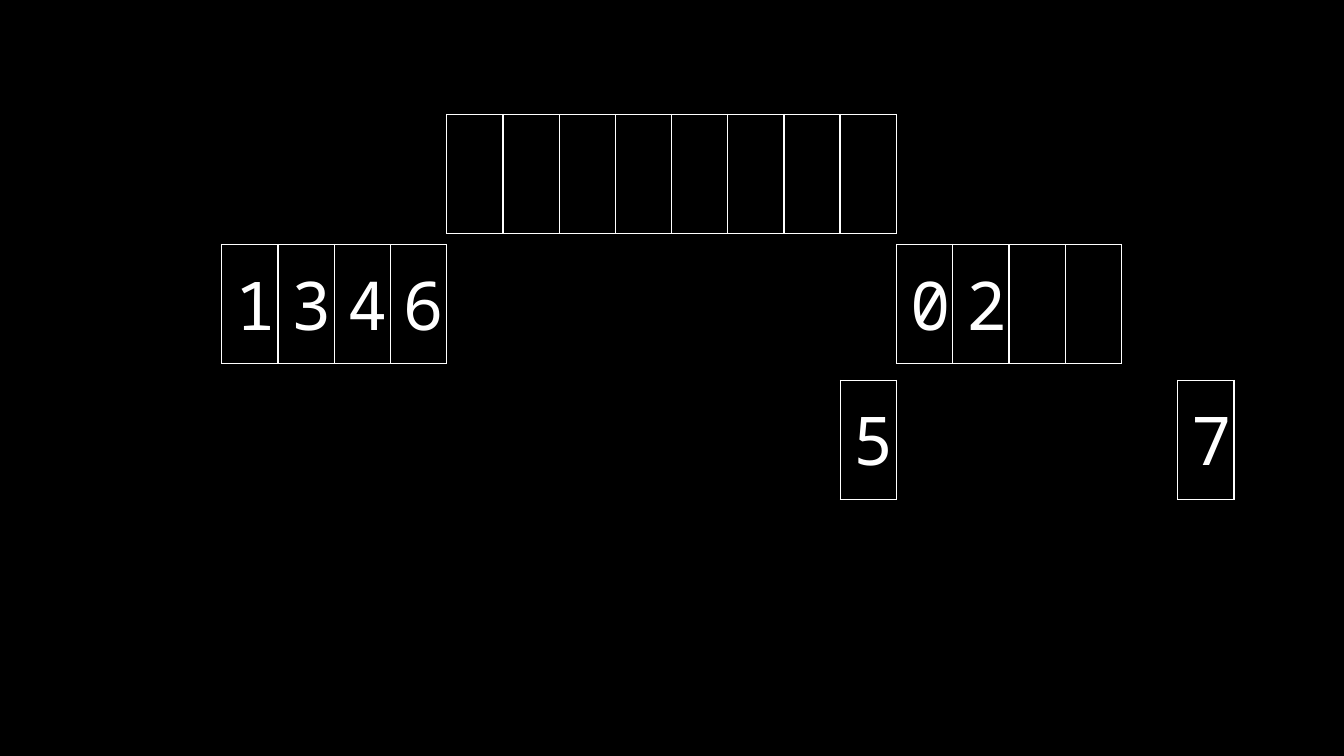
from lxml import etree
from pptx import Presentation
from pptx.dml.color import RGBColor
from pptx.enum.text import MSO_ANCHOR, PP_ALIGN
from pptx.oxml.ns import qn
from pptx.util import Pt

MIDDLE = MSO_ANCHOR.MIDDLE
CENTER = PP_ALIGN.CENTER

CELL_WIDTH = 30.13
CELL_HEIGHT = 63.75
GRID_LEFT = 118.8
HIDDEN = None

# Grid column of the first cell, top, cell contents
ARRAYS = [
    (4, 61.3, [""] * 8),
    (0, 131, ["1", "3", "4", "6"]),
    (12, 131, ["0", "2", "", ""]),
    (10, 203.8, [HIDDEN, "5"]),
    (16, 203.8, [HIDDEN, "7"]),
]


def color(hex_code):
    return RGBColor.from_string(hex_code)


class ArrayArtist:
    font = "Noto Sans Mono"
    size = 36
    ink = "FFFFFF"
    paper = "000000"
    line_width = 0.75
    inset = 7.2

    def __init__(self, slide):
        self.slide = slide
        background = slide.background.fill
        background.solid()
        background.fore_color.rgb = color(self.paper)

    def border(self, cell, sides):
        """Draw the given sides (from "LRTB") and clear the others."""
        properties = cell._tc.get_or_add_tcPr()
        for side in "LRTB":
            line = etree.SubElement(properties, qn(f"a:ln{side}"), w=str(Pt(self.line_width)))
            if side in sides:
                fill = etree.SubElement(line, qn("a:solidFill"))
                etree.SubElement(fill, qn("a:srgbClr"), val=self.ink)
            else:
                etree.SubElement(line, qn("a:noFill"))

    def cell(self, cell, value):
        self.border(cell, "R" if value is HIDDEN else "LRTB")
        cell.fill.background()
        cell.vertical_anchor = MIDDLE
        cell.margin_left = cell.margin_right = Pt(self.inset)
        cell.margin_top = cell.margin_bottom = Pt(self.inset)
        if value:
            cell.text = value
            digit = cell.text_frame.paragraphs[0]
            digit.alignment = CENTER
            digit.font.name = self.font
            digit.font.size = Pt(self.size)
            digit.font.color.rgb = color(self.ink)

    def array(self, left, top, values):
        table = self.slide.shapes.add_table(
            1, len(values), Pt(left), Pt(top),
            Pt(CELL_WIDTH * len(values)), Pt(CELL_HEIGHT)).table
        table.first_row = False
        table.horz_banding = False
        for column, value in enumerate(values):
            table.columns[column].width = Pt(CELL_WIDTH)
            self.cell(table.cell(0, column), value)


def main():
    deck = Presentation()
    deck.slide_width = Pt(720)
    deck.slide_height = Pt(405)
    artist = ArrayArtist(deck.slides.add_slide(deck.slide_layouts[6]))
    for grid_column, top, values in ARRAYS:
        artist.array(GRID_LEFT + grid_column * CELL_WIDTH, top, values)
    deck.save("out.pptx")


if __name__ == "__main__":
    main()
